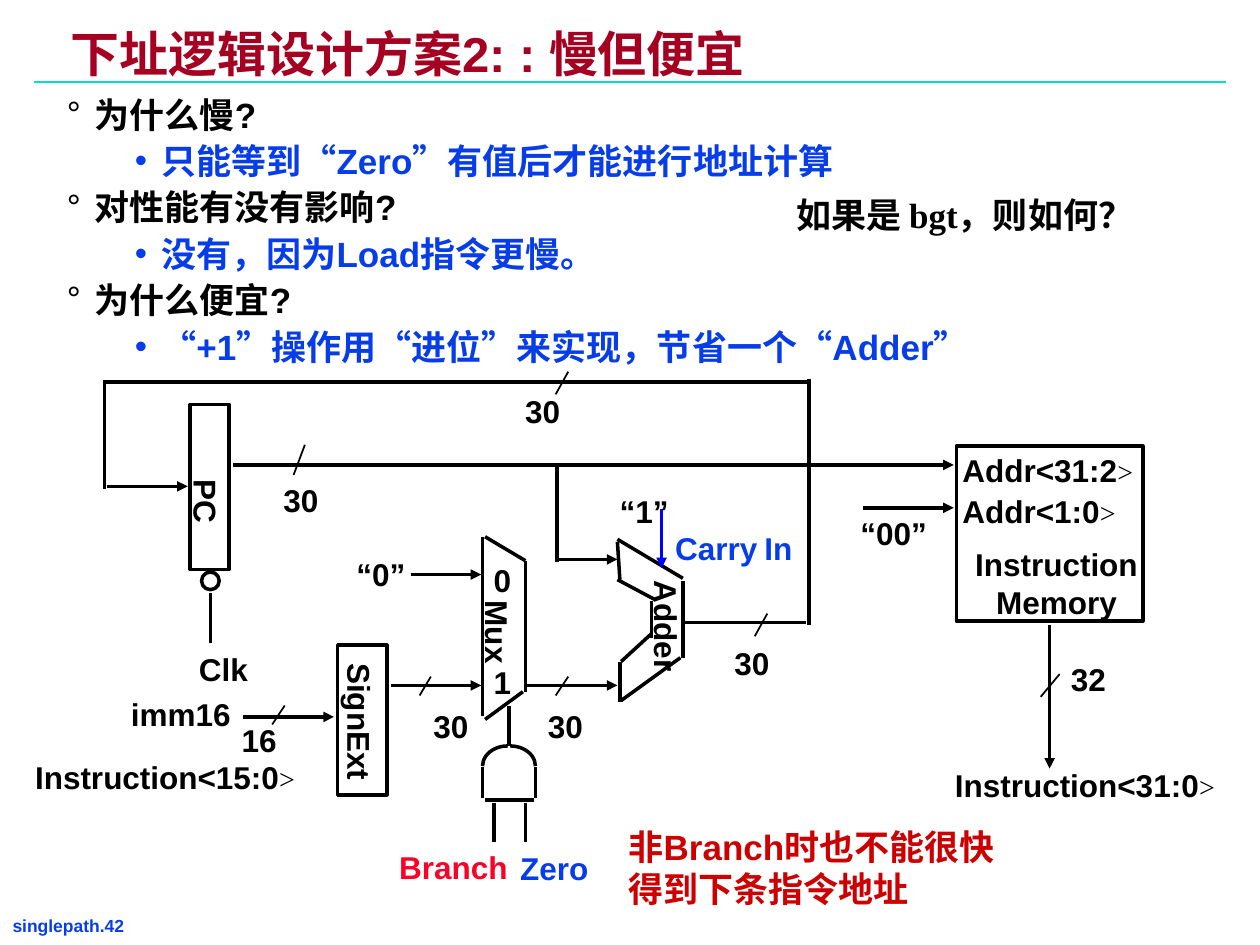
from lxml import etree
from pptx import Presentation
from pptx.dml.color import RGBColor
from pptx.enum.shapes import MSO_CONNECTOR, MSO_SHAPE
from pptx.enum.text import MSO_ANCHOR, MSO_AUTO_SIZE, PP_ALIGN
from pptx.oxml.ns import qn
from pptx.util import Cm, Pt

STRAIGHT = MSO_CONNECTOR.STRAIGHT
RECTANGLE, ELLIPSE, ARC = MSO_SHAPE.RECTANGLE, MSO_SHAPE.OVAL, MSO_SHAPE.ARC
TOP = MSO_ANCHOR.TOP
FIT_SHAPE, NO_FIT = MSO_AUTO_SIZE.SHAPE_TO_FIT_TEXT, MSO_AUTO_SIZE.NONE
LEFT, CENTER = PP_ALIGN.LEFT, PP_ALIGN.CENTER
BLACK, BLUE, WHITE = "000000", "063DE8", "FFFFFF"
SANS, SERIF = "Arial", "Times New Roman"
LABEL_HEIGHT = 0.4

QUESTIONS = [
    ("为什么慢?", "只能等到“Zero”有值后才能进行地址计算"),
    ("对性能有没有影响?", "没有，因为Load指令更慢。"),
    ("为什么便宜?", "“+1”操作用“进位”来实现，节省一个“Adder”"),
]
MUX_OUTLINE = [
    (3.83, 4.26, 3.83, 5.68), (3.85, 4.26, 4.17, 4.45),
    (3.85, 5.71, 4.15, 5.49), (4.17, 4.45, 4.17, 5.49),
]
ADDER_OUTLINE = [
    (4.9, 4.3, 4.92, 4.6), (4.9, 4.28, 5.42, 4.59), (4.9, 4.6, 5.2, 4.76),
    (5.17, 4.77, 5.17, 5.06), (5.42, 4.61, 5.42, 5.22), (4.93, 5.25, 5.17, 5.03),
    (4.92, 5.25, 4.92, 5.57), (4.93, 5.56, 5.4, 5.22),
]
WIRES = [
    (5.43, 4.94, 6.4, 4.94), (6.42, 4.96, 6.42, 3.01), (6.43, 3.03, 0.82, 3.03),
    (0.83, 3.04, 0.83, 3.88), (4.42, 4.46, 4.42, 3.68), (4.04, 5.92, 4.04, 5.6),
    (3.92, 6.37, 3.92, 6.68), (4.17, 6.37, 4.17, 6.68),
]
ARROWS = [
    (1.85, 3.69, 7.57, 3.69), (0.85, 3.86, 1.49, 3.86), (4.43, 4.44, 4.9, 4.44),
    (3.26, 4.56, 3.82, 4.56), (3.1, 5.44, 3.82, 5.44), (4.18, 5.44, 4.9, 5.44),
    (1.93, 5.69, 2.65, 5.69), (6.85, 4.03, 7.57, 4.03), (8.33, 4.96, 8.33, 6.1),
]
BUS_WIDTHS = [
    ("30", 2.15, 3.77, (2.42, 3.53, 2.33, 3.77)),
    ("30", 5.73, 5.06, (6.09, 4.87, 5.99, 5.05)),
    ("30", 4.25, 5.56, (4.51, 5.37, 4.41, 5.52)),
    ("30", 3.34, 5.56, (3.42, 5.37, 3.33, 5.52)),
    ("30", 4.07, 3.06, (4.51, 2.95, 4.41, 3.13)),
    ("16", 1.82, 5.67, (2.26, 5.6, 2.16, 5.75)),
    ("32", 8.4, 5.19, (8.26, 5.53, 8.41, 5.35)),
]
LABELS = [
    ("imm16", 0.94, 5.47, 0.99, BLACK), ("0", 3.82, 4.4, 0.34, BLACK),
    ("1", 3.82, 5.21, 0.34, BLACK), ("“0”", 2.73, 4.36, 0.59, BLACK),
    ("“1”", 4.82, 3.86, 0.59, BLACK), ("“00”", 6.73, 4.03, 0.73, BLACK),
    ("Branch", 3.07, 6.68, 1.06, "FC0128"), ("Zero", 4.03, 6.69, 0.74, BLUE),
]
VERTICAL_LABELS = [
    ("SignExt", 2.29, 5.53, 1.13), ("Mux", 3.6, 4.82, 0.7), ("Adder", 4.83, 4.77, 0.92),
]
BIT_RANGES = [
    ("Addr<31:2", 7.54, 3.53, 1.6), ("Addr<1:0", 7.54, 3.86, 1.46),
    ("Instruction<31:0", 7.48, 6.03, 2.28), ("Instruction<15:0", 0.18, 5.97, 2.28),
]


def inches(*values):
    return [Cm(value * 2.54) for value in values]


def color(value):
    return RGBColor.from_string(value)


def add_run(paragraph, text, size=18, value=BLACK, font=SANS, bold=True):
    run = paragraph.add_run()
    run.text = text
    run.font.size = Pt(size)
    run.font.name = font
    run.font.bold = bold
    run.font.color.rgb = color(value)


def set_frame(frame, horizontal, vertical, wrap, fit):
    frame.margin_left, frame.margin_right = inches(horizontal, horizontal)
    frame.margin_top, frame.margin_bottom = inches(vertical, vertical)
    frame.word_wrap = wrap
    frame.auto_size = fit
    frame.vertical_anchor = TOP


def add_text(shapes, box, runs, wrap=False, rotation=0, margins=(0.1, 0.05), before=0):
    shape = shapes.add_textbox(*inches(*box))
    shape.rotation = rotation
    set_frame(shape.text_frame, *margins, wrap, FIT_SHAPE)
    paragraph = shape.text_frame.paragraphs[0]
    paragraph.space_before = Pt(before)
    for text, options in runs:
        add_run(paragraph, text, **options)
    return shape


def add_label(shapes, text, left, top, width, value=BLACK, rotation=0):
    box = (left, top, width, LABEL_HEIGHT)
    add_text(shapes, box, [(text, {"value": value})], rotation=rotation)


def add_line(shapes, points, value=BLACK, width=2, arrow=False):
    line = shapes.add_connector(STRAIGHT, *inches(*points))
    line.line.color.rgb = color(value)
    line.line.width = Pt(width)
    properties = line._element.spPr
    if arrow:
        etree.SubElement(properties.find(qn("a:ln")), qn("a:tailEnd"), type="triangle")
    etree.SubElement(properties, qn("a:effectLst"))


def add_outline(shapes, kind, *box):
    shape = shapes.add_shape(kind, *inches(*box))
    shape.shadow.inherit = False
    shape.fill.background()
    shape.line.color.rgb = color(BLACK)
    shape.line.width = Pt(2)
    return shape


def place(placeholder, *box):
    placeholder.left, placeholder.top, placeholder.width, placeholder.height = inches(*box)


def add_bullet(paragraph, text, level, value, symbol, margin, indent):
    paragraph.level = level
    paragraph.alignment = LEFT
    paragraph.space_before = Pt(2.5)
    properties = paragraph._p.get_or_add_pPr()
    properties.set("marL", str(inches(margin)[0]))
    properties.set("indent", str(-inches(indent)[0]))
    bullet_color = etree.SubElement(properties, qn("a:buClr"))
    etree.SubElement(bullet_color, qn("a:srgbClr"), val=value)
    etree.SubElement(properties, qn("a:buFont"), typeface=SANS)
    etree.SubElement(properties, qn("a:buChar"), char=symbol)
    add_run(paragraph, text, 20, value)


def fill_placeholders(slide):
    title, body = slide.placeholders
    place(title, 0.49, 0.22, 6.68, 0.46)
    set_frame(title.text_frame, 0.07, 0.03, True, NO_FIT)
    heading = title.text_frame.paragraphs[0]
    heading.alignment = LEFT
    heading.line_spacing = 0.87
    add_run(heading, "下址逻辑设计方案2: : 慢但便宜", 28, "A50021")

    place(body, 0.46, 0.71, 8.96, 2.69)
    frame = body.text_frame
    set_frame(frame, 0.07, 0.03, True, NO_FIT)
    for index, (question, answer) in enumerate(QUESTIONS):
        paragraph = frame.add_paragraph() if index else frame.paragraphs[0]
        add_bullet(paragraph, question, 0, BLACK, "°", 0.22, 0.22)
        add_bullet(frame.add_paragraph(), answer, 1, BLUE, "•", 0.75, 0.21)


def add_program_counter(slide):
    shapes = slide.shapes.add_group_shape().shapes
    add_outline(shapes, RECTANGLE, 1.51, 3.21, 0.31, 1.31)
    add_outline(shapes, ELLIPSE, 1.6, 4.54, 0.14, 0.14)
    add_line(shapes, (1.67, 4.71, 1.67, 5.1))
    add_label(shapes, "PC", 1.36, 3.78, 0.55, rotation=90)
    add_label(shapes, "Clk", 1.48, 5.11, 0.59)


def add_and_gate(slide):
    shapes = slide.shapes.add_group_shape().shapes
    for left, start, end in [(3.83, 180, 270), (3.85, 270, 0)]:
        arc = add_outline(shapes, ARC, left, 5.92, 0.4, 0.32)
        arc.adjustments[0] = start * 0.6
        arc.adjustments[1] = end * 0.6
    for points in [(3.83, 6.09, 3.83, 6.33), (3.85, 6.35, 4.24, 6.35), (4.25, 6.09, 4.25, 6.33)]:
        add_line(shapes, points)


def add_datapath(slide):
    shapes = slide.shapes
    add_outline(shapes, RECTANGLE, 2.68, 5.12, 0.39, 1.19)
    add_outline(shapes, RECTANGLE, 7.59, 3.54, 1.48, 1.39)
    for points in MUX_OUTLINE + ADDER_OUTLINE + WIRES:
        add_line(shapes, points)
    for points in ARROWS:
        add_line(shapes, points, arrow=True)
    add_line(shapes, (5.25, 4.04, 5.25, 4.51), "0000FF", arrow=True)
    for text, left, top, slash in BUS_WIDTHS:
        add_line(shapes, slash, width=1)
        add_label(shapes, text, left, top, 0.48)
    for label in LABELS:
        add_label(shapes, *label)
    for label in VERTICAL_LABELS:
        add_label(shapes, *label, rotation=90)
    serif = {"size": 16, "font": SERIF}
    for text, left, top, width in BIT_RANGES:
        runs = [(text, {}), (">", {**serif, "bold": False})]
        add_text(shapes, (left, top, width, LABEL_HEIGHT), runs)
    blue = {"value": BLUE}
    carry = [("Carry", blue), (" ", {**serif, **blue}), ("In", blue)]
    add_text(shapes, (5.26, 4.15, 1.13, LABEL_HEIGHT), carry)
    memory = add_text(shapes, (7.64, 4.28, 1.49, 0.7), [("Instruction", {})]).text_frame
    add_run(memory.add_paragraph(), "Memory")
    for paragraph in memory.paragraphs:
        paragraph.alignment = CENTER


def add_remarks_and_footer(slide):
    shapes = slide.shapes
    add_line(shapes, (0.27, 0.65, 9.73, 0.65), "00DFCA", 1.5)
    footer = [("singlepath.42", {"size": 10, "value": BLUE})]
    add_text(shapes, (0.03, 7.23, 1.54, 0.22), footer, margins=(0.07, 0.03))
    remark = [("非Branch时也不能很快得到下条指令地址", {"size": 20, "value": "CC0000"})]
    add_text(shapes, (4.89, 6.5, 3.18, 0.77), remark, wrap=True, before=12.5)
    question = [("如果是 bgt，则如何？", {"size": 20, "font": SERIF})]
    add_text(shapes, (6.22, 1.49, 3.06, 0.44), question, wrap=True, before=12.5)


def main():
    presentation = Presentation()
    presentation.slide_width, presentation.slide_height = inches(10, 7.5)
    slide = presentation.slides.add_slide(presentation.slide_layouts[1])
    slide.background.fill.solid()
    slide.background.fill.fore_color.rgb = color(WHITE)
    fill_placeholders(slide)
    add_datapath(slide)
    add_program_counter(slide)
    add_and_gate(slide)
    add_remarks_and_footer(slide)
    presentation.save("out.pptx")


if __name__ == "__main__":
    main()
